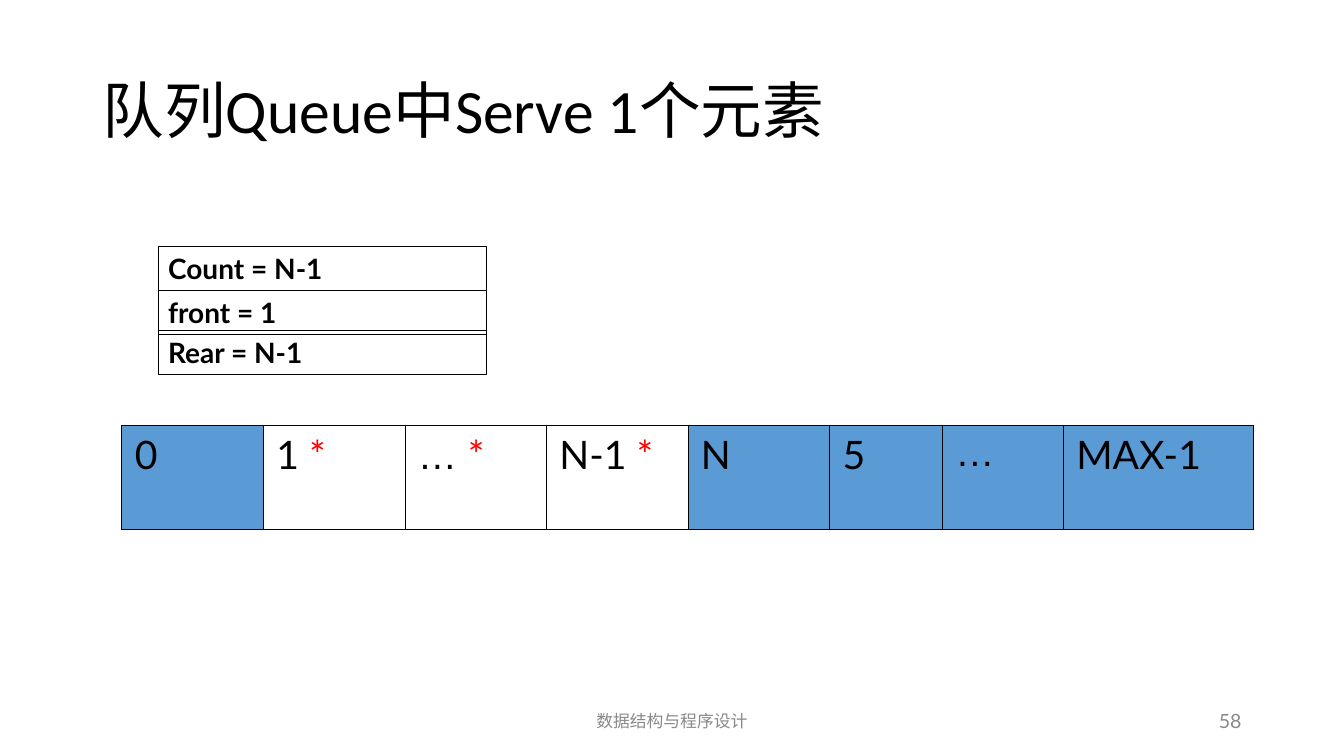
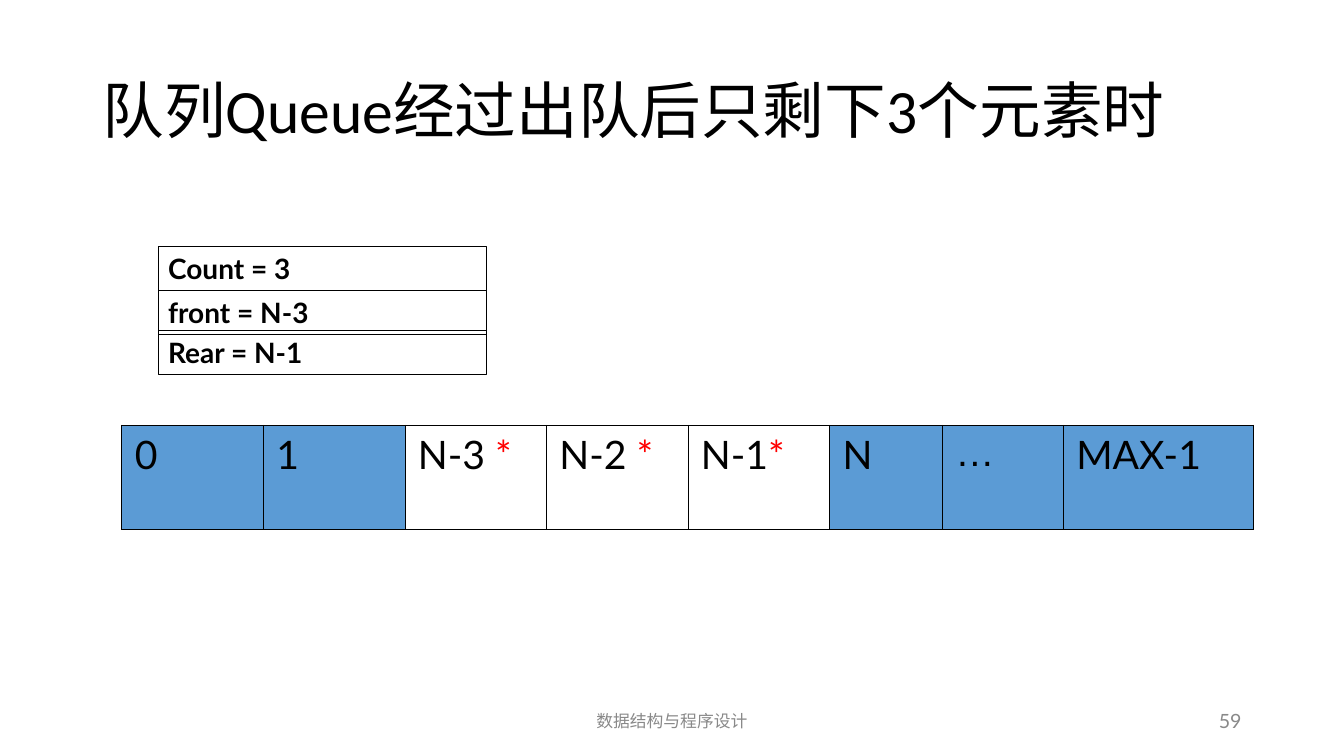
import dataclasses

import lxml.etree
import pptx
import pptx.dml.color
import pptx.enum.shapes
import pptx.enum.text
import pptx.oxml.ns
import pptx.util

Pt = pptx.util.Pt
RGB = pptx.dml.color.RGBColor
ALIGN = pptx.enum.text.PP_ALIGN
ANCHOR = pptx.enum.text.MSO_ANCHOR


@dataclasses.dataclass(frozen=True)
class Theme:
    black: RGB = RGB(0x00, 0x00, 0x00)
    white: RGB = RGB(0xFF, 0xFF, 0xFF)
    grey: RGB = RGB(0x89, 0x89, 0x89)
    free_slot: RGB = RGB(0x5B, 0x9B, 0xD5)
    star: RGB = RGB(0xFF, 0x00, 0x00)
    title_font: str = "Calibri"
    body_font: str = "Lato"
    ellipsis_font: str = "Arial"
    title_size: int = 44
    slot_size: int = 28
    state_size: int = 20
    number_size: int = 14
    footer_size: int = 12
    inner_line: float = 0.45
    outer_line: float = 1.08
    state_line: float = 0.75


THEME = Theme()
FOOTER = "数据结构与程序设计"
FIRST_NUMBER = 58
STATE_TOPS = (176.4, 207.4, 236.2)
SLOT_WIDTHS = (101.1,) * 5 + (80.7, 86.4, 136)

# Title, queue variables, array slots; a slot ending in * holds an element
SLIDES = (
    ("队列Queue中Serve 1个元素",
     ("Count = N-1", "front = 1", "Rear = N-1"),
     ("0", "1 *", "… *", "N-1 *", "N", "5", "…", "MAX-1")),
    ("队列Queue经过出队后只剩下3个元素时",
     ("Count = 3", "front = N-3", "Rear = N-1"),
     ("0", "1", "N-3 *", "N-2 *", "N-1*", "N", "…", "MAX-1")),
)


def style(font, size, color, name=THEME.body_font, bold=False):
    font.size = Pt(size)
    font.name = name
    font.bold = bold
    font.color.rgb = color


def add_title(slide, text):
    title = slide.shapes.title
    title.left, title.top = Pt(66), Pt(28.75)
    title.width, title.height = Pt(828), Pt(104.4)
    frame = title.text_frame
    frame.text = text
    frame.auto_size = pptx.enum.text.MSO_AUTO_SIZE.NONE
    frame.vertical_anchor = ANCHOR.MIDDLE
    paragraph = frame.paragraphs[0]
    paragraph.alignment = ALIGN.LEFT
    paragraph.line_spacing = 0.9
    style(paragraph.font, THEME.title_size, THEME.black, THEME.title_font)


def add_footer_text(slide, text, left, width, size, align):
    footer = slide.shapes.add_textbox(Pt(left), Pt(500.5), Pt(width), Pt(28.8))
    frame = footer.text_frame
    frame.word_wrap = True
    frame.vertical_anchor = ANCHOR.MIDDLE
    frame.text = text
    frame.paragraphs[0].alignment = align
    style(frame.paragraphs[0].font, size, THEME.grey)


def add_state_box(slide, text, top):
    state = slide.shapes.add_shape(pptx.enum.shapes.MSO_SHAPE.RECTANGLE,
                                   Pt(113), Pt(top), Pt(234.5), Pt(31.4))
    state.shadow.inherit = False
    state.fill.background()
    state.line.color.rgb = THEME.black
    state.line.width = Pt(THEME.state_line)
    frame = state.text_frame
    frame.vertical_anchor = ANCHOR.TOP
    frame.text = text
    frame.paragraphs[0].alignment = ALIGN.LEFT
    style(frame.paragraphs[0].font, THEME.state_size, THEME.black, bold=True)


def set_borders(cell, widths):
    """Draw the cell's edges; widths maps L, R, T and B to points."""
    properties = cell._tc.get_or_add_tcPr()
    qn = pptx.oxml.ns.qn
    for position, (side, width) in enumerate(widths.items()):
        edge = lxml.etree.Element(qn(f"a:ln{side}"), w=str(int(Pt(width))))
        fill = lxml.etree.SubElement(edge, qn("a:solidFill"))
        lxml.etree.SubElement(fill, qn("a:srgbClr"), val=str(THEME.black))
        properties.insert(position, edge)


def fill_slot(cell, label):
    held = label.endswith("*")
    cell.fill.solid()
    cell.fill.fore_color.rgb = THEME.white if held else THEME.free_slot
    cell.margin_left = cell.margin_right = Pt(9.4)
    cell.margin_top = cell.margin_bottom = Pt(3.6)
    paragraph = cell.text_frame.paragraphs[0]
    index = paragraph.add_run()
    index.text = label.removesuffix("*")
    name = THEME.ellipsis_font if "…" in label else THEME.body_font
    style(index.font, THEME.slot_size, THEME.black, name)
    if held:
        star = paragraph.add_run()
        star.text = "*"
        style(star.font, THEME.slot_size, THEME.star)


def add_queue(slide, labels):
    queue = slide.shapes.add_table(1, len(labels), Pt(87), Pt(304),
                                   Pt(sum(SLOT_WIDTHS)), Pt(74.4)).table
    queue.first_row = queue.horz_banding = False
    last = len(labels) - 1
    inner, outer = THEME.inner_line, THEME.outer_line
    for column, (label, width) in enumerate(zip(labels, SLOT_WIDTHS)):
        queue.columns[column].width = Pt(width)
        cell = queue.cell(0, column)
        fill_slot(cell, label)
        set_borders(cell, {"L": outer if column == 0 else inner,
                           "R": outer if column == last else inner,
                           "T": outer, "B": outer})


def main():
    deck = pptx.Presentation()
    deck.slide_width, deck.slide_height = Pt(960), Pt(540)
    title_only = deck.slide_layouts[5]
    for number, (title, states, slots) in enumerate(SLIDES, FIRST_NUMBER):
        slide = deck.slides.add_slide(title_only)
        # Footer and slide number
        add_footer_text(slide, FOOTER, 318, 324, THEME.footer_size, ALIGN.CENTER)
        add_footer_text(slide, str(number), 678, 216, THEME.number_size, ALIGN.RIGHT)
        # Title, queue variables and array
        add_title(slide, title)
        for state, top in zip(states, STATE_TOPS):
            add_state_box(slide, state, top)
        add_queue(slide, slots)
    deck.save("out.pptx")


if __name__ == "__main__":
    main()
